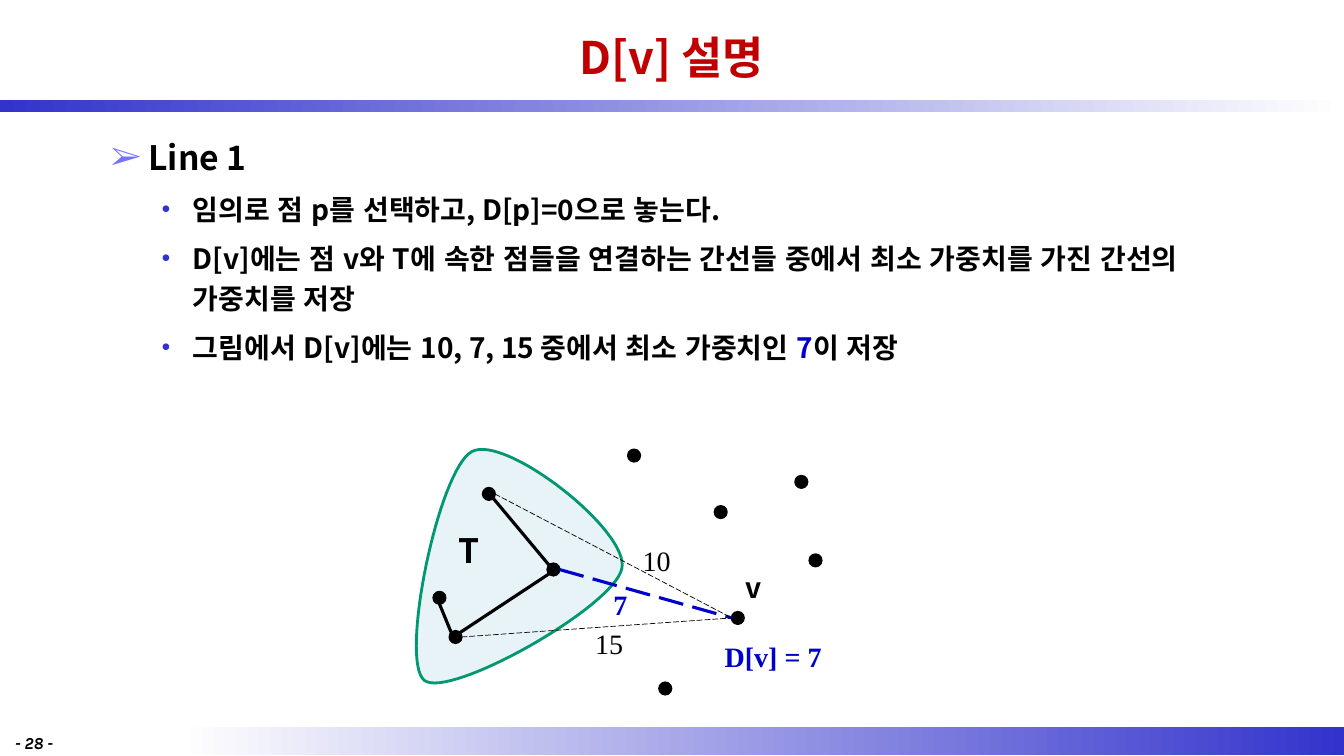
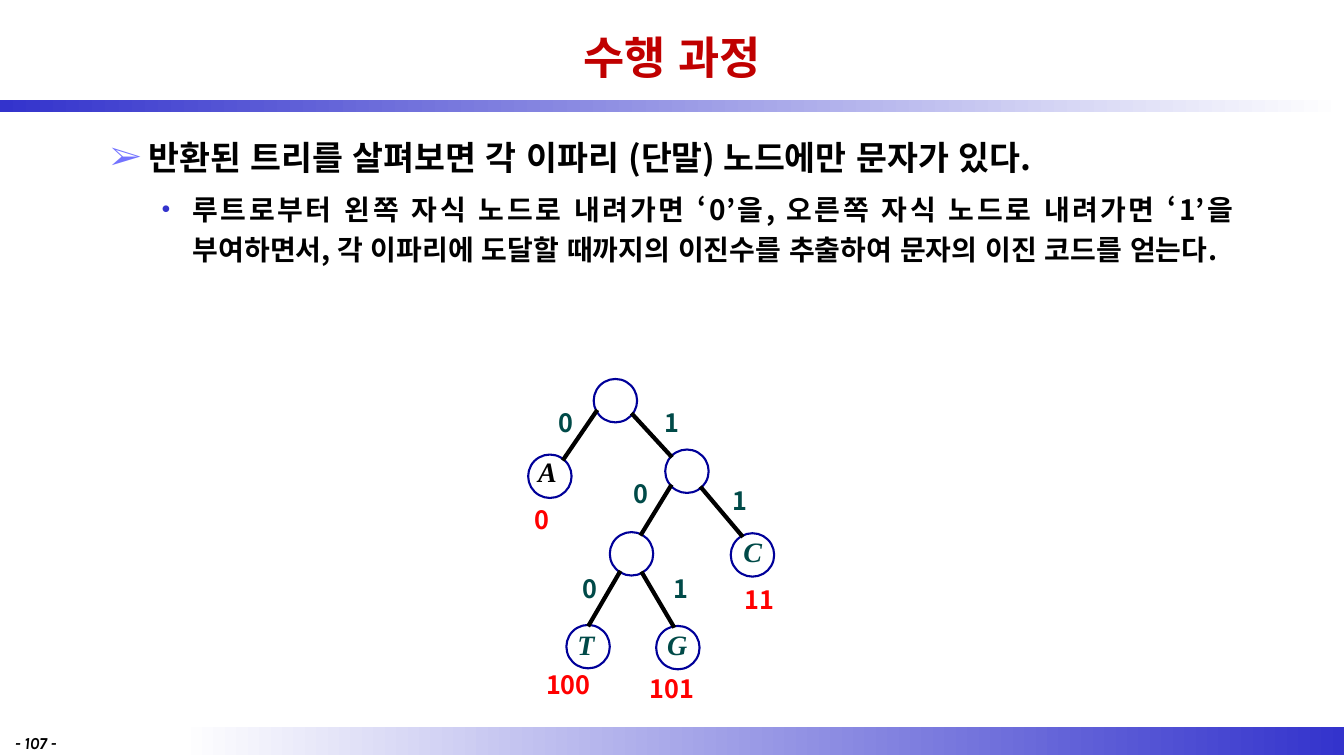
from dataclasses import dataclass
from math import cos, radians, sin

from pptx import Presentation
from pptx.dml.color import RGBColor as Rgb
from pptx.enum.dml import MSO_LINE as Dash
from pptx.enum.lang import MSO_LANGUAGE_ID as Language
from pptx.enum.shapes import MSO_CONNECTOR as Connector, MSO_SHAPE as Preset
from pptx.enum.text import MSO_ANCHOR as Anchor, PP_ALIGN as Align
from pptx.oxml.ns import qn
from pptx.util import Pt
from lxml.etree import SubElement


@dataclass(frozen=True)
class Theme:
    sans: str = "Noto Sans CJK KR"
    serif: str = "Times New Roman"
    footer_font: str = "Karla"
    title: str = "C00000"
    text: str = "000000"
    white: str = "FFFFFF"
    band: str = "3333CC"
    arrow_bullet: str = "7373FF"
    highlight: str = "0000CC"
    region_fill: str = "DBEEF4"
    region_line: str = "009771"
    node_line: str = "000099"
    bit: str = "004A48"
    code: str = "FF0000"
    title_size: int = 32
    heading_size: int = 24
    body_size: int = 20
    bit_size: int = 18
    footer_size: int = 12


@dataclass(frozen=True)
class Box:
    left: float
    top: float
    width: float
    height: float

    def lengths(self):
        return [Pt(value) for value in (self.left, self.top, self.width, self.height)]

    def inner(self, left, top, width, height):
        return Box(self.left + left, self.top + top, width, height)

    def point(self, x, y):
        return self.left + x, self.top + y


THEME = Theme()
PAGE = Box(0, 0, 960, 540)
TITLE_BOX = Box(72, 3.6, 816, 74.2)
BODY_BOX = Box(72, 88.6, 816, 430.6)
FOOTER_BOX = Box(3.6, 519.8, 68.4, 17.3)
TOP_BAND = Box(0, 71.3, 960, 8.6)
BOTTOM_BAND = Box(128, 519.1, 832, 20.2)
GRAPH_BOX = Box(297, 321, 290, 175)
TREE_BOX = Box(374, 271, 210, 237)

BULLETS = (
    ("➢", THEME.arrow_bullet, 27, -27, THEME.heading_size),
    ("•", THEME.band, 58.5, -22.5, THEME.body_size),
)


def add_run(paragraph, text, size, color=THEME.text, face=THEME.sans, bold=True, italic=False):
    run = paragraph.add_run()
    run.text = text
    font = run.font
    font.name, font.size, font.bold, font.italic = face, Pt(size), bold, italic
    font.color.rgb = Rgb.from_string(color)
    font.language_id = Language.KOREAN
    SubElement(run._r.get_or_add_rPr(), qn("a:ea")).set("typeface", face)


def add_frame(slide, box, wrap=True):
    frame = slide.shapes.add_textbox(*box.lengths()).text_frame
    frame.word_wrap = wrap
    return frame


def add_label(slide, box, text, size, align=Align.LEFT, anchor=Anchor.TOP, wrap=True, **style):
    frame = add_frame(slide, box, wrap)
    frame.vertical_anchor = anchor
    paragraph = frame.paragraphs[0]
    paragraph.alignment = align
    add_run(paragraph, text, size, **style)


def add_band(slide, box, colors):
    shape = slide.shapes.add_shape(Preset.RECTANGLE, *box.lengths())
    shape.shadow.inherit = False
    shape.line.fill.background()
    shape.fill.gradient()
    shape.fill.gradient_angle = 0
    for stop, color in zip(shape.fill.gradient_stops, colors):
        stop.color.rgb = Rgb.from_string(color)


def set_bullet(paragraph, level):
    symbol, color, margin, indent, _ = BULLETS[level]
    properties = paragraph._p.get_or_add_pPr()
    properties.set("marL", str(Pt(margin)))
    properties.set("indent", str(Pt(indent)))
    bullet_color = SubElement(properties, qn("a:buClr"))
    SubElement(bullet_color, qn("a:srgbClr")).set("val", color)
    SubElement(properties, qn("a:buFont")).set("typeface", THEME.serif)
    SubElement(properties, qn("a:buChar")).set("char", symbol)


def add_body(slide, box, items, align):
    frame = add_frame(slide, box)
    for index, (level, runs) in enumerate(items):
        paragraph = frame.add_paragraph() if index else frame.paragraphs[0]
        paragraph.level = level
        paragraph.alignment = align
        paragraph.line_spacing = 1.2
        paragraph.space_before = Pt(0)
        paragraph.space_after = Pt(6)
        set_bullet(paragraph, level)
        for text, color in runs:
            add_run(paragraph, text, BULLETS[level][-1], color)


def add_page(presentation, title, number, items, align=Align.LEFT):
    slide = presentation.slides.add_slide(presentation.slide_layouts[6])
    add_band(slide, BOTTOM_BAND, (THEME.white, THEME.band))
    add_band(slide, TOP_BAND, (THEME.band, THEME.white))
    add_label(slide, TITLE_BOX, title, THEME.title_size, Align.CENTER, Anchor.MIDDLE, color=THEME.title)
    add_body(slide, BODY_BOX, items, align)
    add_label(slide, FOOTER_BOX, f"- {number} -", THEME.footer_size, face=THEME.footer_font, italic=True)
    return slide


def add_circle(slide, center, diameter, line, fill=None):
    x, y = center
    box = Box(x - diameter / 2, y - diameter / 2, diameter, diameter)
    shape = slide.shapes.add_shape(Preset.OVAL, *box.lengths())
    shape.shadow.inherit = False
    shape.line.color.rgb = Rgb.from_string(line)
    shape.line.width = Pt(1.5)
    if fill:
        shape.fill.solid()
        shape.fill.fore_color.rgb = Rgb.from_string(fill)
    else:
        shape.fill.background()


def rim_point(center, radius, degrees):
    x, y = center
    angle = radians(degrees)
    return Pt(x + radius * cos(angle)), Pt(y + radius * sin(angle))


def add_edge(slide, start, end, width, color=THEME.text, dash=None):
    connector = slide.shapes.add_connector(Connector.STRAIGHT, *start, *end)
    connector.line.color.rgb = Rgb.from_string(color)
    connector.line.width = Pt(width)
    if dash:
        connector.line.dash_style = dash
    SubElement(connector._element.spPr, qn("a:effectLst"))


def curve_points(start, curves, steps=32):
    for first, second, end in curves:
        for step in range(1, steps + 1):
            t = step / steps
            weights = ((1 - t) ** 3, 3 * t * (1 - t) ** 2, 3 * t * t * (1 - t), t ** 3)
            corners = (start, first, second, end)
            yield tuple(sum(w * c[axis] for w, c in zip(weights, corners)) for axis in (0, 1))
        start = end


def add_region(slide, box):
    start = (6.1, 165)
    curves = (
        ((-11.9, 150.6), (16.2, 14.5), (40, 1.6)),
        ((63.7, -11.4), (153, 58.4), (147.2, 85.1)),
        ((141.5, 112.4), (24.1, 178.7), start),
    )
    outline = [[Pt(value) for value in box.point(*point)] for point in curve_points(start, curves)]
    builder = slide.shapes.build_freeform(*outline[-1])
    builder.add_line_segments(outline[:-1], close=True)
    shape = builder.convert_to_shape()
    shape.shadow.inherit = False
    shape.fill.solid()
    shape.fill.fore_color.rgb = Rgb.from_string(THEME.region_fill)
    color = shape._element.spPr.find(qn("a:solidFill")).find(qn("a:srgbClr"))
    SubElement(color, qn("a:alpha")).set("val", "66000")
    shape.line.color.rgb = Rgb.from_string(THEME.region_line)
    shape.line.width = Pt(2)


def add_graph(slide, box):
    diameter = 8.6
    vertices = {
        "top": (52.2, 31.8), "middle": (98.3, 85.8), "bottom": (28.4, 134),
        "left": (16.9, 106), "v": (230, 120.4),
    }
    outside = ((155.9, 4.4), (217.8, 44.8), (275.4, 23.2), (285.5, 79.3), (178.2, 170.8))
    solid = (2.25, THEME.text, None)
    thin = (0.5, THEME.text, Dash.LONG_DASH)
    shortest = (2.25, THEME.highlight, Dash.LONG_DASH)
    edges = (
        ("top", 45, "middle", 225, solid),
        ("middle", 135, "bottom", 315, solid),
        ("left", 90, "bottom", 225, solid),
        ("middle", 0, "v", 180, shortest),
        ("bottom", 0, "v", 180, thin),
        ("top", 0, "v", 180, thin),
    )
    plain = dict(face=THEME.serif, bold=False)
    strong = dict(face=THEME.serif, color=THEME.highlight)
    labels = (
        ("10", 155, 64, 45, plain),
        ("15", 121, 123, 45, plain),
        ("7", 134, 95, 45, strong),
        ("D[v] = 7", 213.5, 132, 101, strong),
        ("v", 228.6, 83, 25, {}),
    )
    add_region(slide, box)
    for center in (*vertices.values(), *outside):
        add_circle(slide, box.point(*center), diameter, THEME.text, THEME.text)
    for start, leaving, end, arriving, stroke in edges:
        add_edge(slide, rim_point(box.point(*vertices[start]), diameter / 2, leaving),
                 rim_point(box.point(*vertices[end]), diameter / 2, arriving), *stroke)
    add_label(slide, box.inner(7, 54, 62.6, 36), "T", THEME.heading_size, Align.CENTER)
    for text, left, top, width, style in labels:
        add_label(slide, box.inner(left, top, width, 31.7), text, THEME.body_size, **style)


def add_tree(slide, box):
    diameter = 31
    nodes = {
        "root": (65.6, 15.2), "A": (18.8, 69.2), "right": (116.7, 65.6), "C": (163.5, 125.4),
        "inner": (77.1, 124.6), "T": (46.1, 190.9), "G": (110.2, 191.6),
    }
    edges = (
        ("root", 153, "A", -51, "0", 17.7, 16.3),
        ("root", 38, "right", -137, "1", 93.3, 16.3),
        ("right", 139, "inner", -64, "0", 71.7, 67.4),
        ("right", 49, "C", -118, "1", 142.2, 72.4),
        ("inner", 123, "T", -90, "0", 35, 135),
        ("inner", 61, "G", -100, "1", 99.8, 135),
    )
    leaves = (
        ("A", 3.3, 50, THEME.text, "0", 0.4, 85.4),
        ("C", 150, 107, THEME.bit, "11", 150.9, 143),
        ("T", 31.4, 174, THEME.bit, "100", 9, 203.5),
        ("G", 95.4, 174, THEME.bit, "101", 83.2, 206.4),
    )
    for center in nodes.values():
        add_circle(slide, box.point(*center), diameter, THEME.node_line)
    for start, leaving, end, arriving, bit, left, top in edges:
        add_edge(slide, rim_point(box.point(*nodes[start]), diameter / 2 - 1, leaving),
                 rim_point(box.point(*nodes[end]), diameter / 2 - 1, arriving), 3)
        add_label(slide, box.inner(left, top, 20, 29), bit, THEME.bit_size, wrap=False, color=THEME.bit)
    for letter, left, top, color, code, code_left, code_top in leaves:
        add_label(slide, box.inner(left, top, 28, 31.7), letter, THEME.body_size, wrap=False,
                  color=color, face=THEME.serif, italic=True)
        add_label(slide, box.inner(code_left, code_top, 20 * len(code), 29), code, THEME.bit_size,
                  color=THEME.code)


def main():
    presentation = Presentation()
    presentation.slide_width, presentation.slide_height = Pt(PAGE.width), Pt(PAGE.height)
    text = THEME.text

    distance_slide = add_page(presentation, "D[v] 설명", 28, (
        (0, (("Line 1", text),)),
        (1, (("임의로 점 p를 선택하고, D[p]=0으로 놓는다.", text),)),
        (1, (("D[v]에는 점 v와 T에 속한 점들을 연결하는 간선들 중에서 최소 가중치를 가진 간선의 가중치를 저장", text),)),
        (1, (("그림에서 D[v]에는 10, 7, 15 중에서 최소 가중치인 ", text), ("7", THEME.highlight), ("이 저장", text))),
    ))
    add_graph(distance_slide, GRAPH_BOX)

    code_slide = add_page(presentation, "수행 과정", 107, (
        (0, (("반환된 트리를 살펴보면 각 이파리 (단말) 노드에만 문자가 있다.", text),)),
        (1, (("루트로부터 왼쪽 자식 노드로 내려가면 ‘0’을, 오른쪽 자식 노드로 내려가면 ‘1’을 부여하면서, "
              "각 이파리에 도달할 때까지의 이진수를 추출하여 문자의 이진 코드를 얻는다.", text),)),
    ), Align.JUSTIFY)
    add_tree(code_slide, TREE_BOX)

    presentation.save("out.pptx")


if __name__ == "__main__":
    main()
